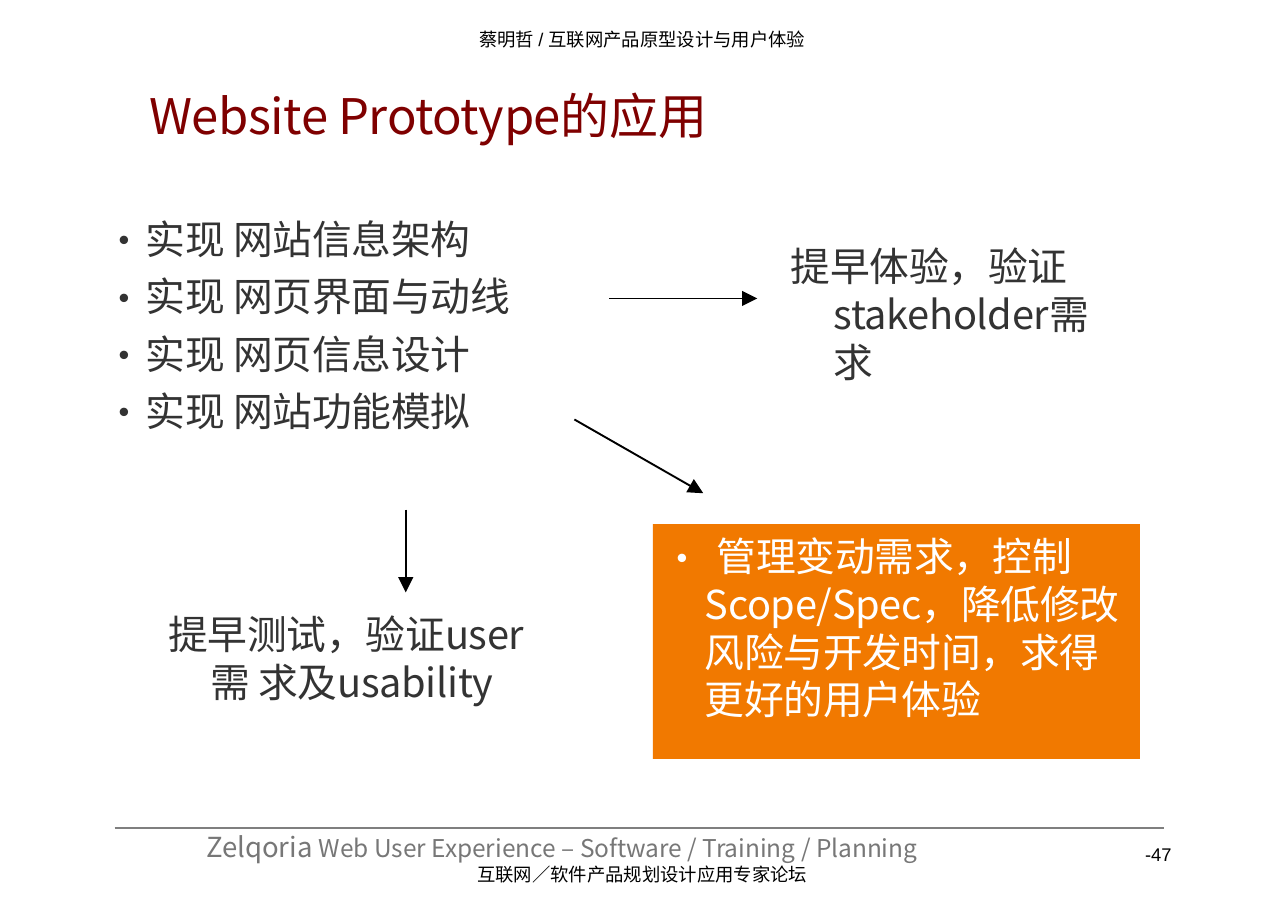
from lxml import etree
from pptx import Presentation
from pptx.dml.color import RGBColor
from pptx.enum.shapes import MSO_CONNECTOR, MSO_SHAPE
from pptx.enum.text import MSO_ANCHOR, PP_ALIGN
from pptx.oxml.ns import qn
from pptx.util import Inches, Pt

STRAIGHT = MSO_CONNECTOR.STRAIGHT
RECT = MSO_SHAPE.RECTANGLE
TOP = MSO_ANCHOR.TOP
LEFT = PP_ALIGN.LEFT

WIDE, HIGH = Inches(11.69), Inches(8.26)
NOTO, ARIAL = "Noto Sans CJK TC", "Arial"
BLACK = RGBColor(0, 0, 0)
WHITE = RGBColor(255, 255, 255)
MAROON = RGBColor(0x7F, 0, 0)
DARK = RGBColor(0x33, 0x33, 0x33)
GRAY = RGBColor(0x77, 0x77, 0x77)
RULE = RGBColor(0x7F, 0x7F, 0x7F)
ORANGE = RGBColor(0xF1, 0x79, 0)

HEAD = dict(size=32, color=MAROON, track=-30)
BODY = dict(size=26, color=DARK, track=-25)
LIGHT = dict(BODY, color=WHITE)
SMALL = dict(size=12, color=BLACK)
PLAIN = dict(SMALL, font=ARIAL)
BRAND = dict(size=18, color=GRAY)
TAG = dict(size=16, color=GRAY)


def col(share):
    return round(WIDE * share / 100)


def row(share):
    return round(HIGH * share / 100)


def area(x, y, w, h):
    return col(x), row(y), col(w), row(h)


def apply(item, values):
    for name, value in values.items():
        setattr(item, name, value)


def add_run(para, text, size, color, font=NOTO, track=0):
    run = para.add_run()
    run.text = text
    apply(run.font, dict(size=Pt(size), name=font, bold=False))
    run.font.color.rgb = color
    props = run.font._element
    props.set("spc", str(track))
    etree.SubElement(props, qn("a:ea")).set("typeface", NOTO)


def add_para(para, runs, left=0, hang=0, mark=False, gap=0):
    size = max(style["size"] for _, style in runs)
    apply(para, dict(alignment=LEFT, line_spacing=Pt(size * 1.2),
                     space_before=Pt(gap), space_after=Pt(0)))
    props = para._p.get_or_add_pPr()
    props.set("marL", str(Inches(left)))
    props.set("indent", str(-Inches(hang)))
    if mark:
        etree.SubElement(props, qn("a:buFont")).set("typeface", NOTO)
        etree.SubElement(props, qn("a:buChar")).set("char", "•")
    else:
        etree.SubElement(props, qn("a:buNone"))
    for text, style in runs:
        add_run(para, text, **style)


def write(shape, paras, pad=(0, 0, 0)):
    frame = shape.text_frame
    left, top, right = (Inches(side) for side in pad)
    apply(frame, dict(word_wrap=True, vertical_anchor=TOP, margin_left=left,
                      margin_top=top, margin_right=right, margin_bottom=0))
    for spot, (runs, form) in enumerate(paras):
        para = frame.add_paragraph() if spot else frame.paragraphs[0]
        add_para(para, runs, **form)


def add_text(slide, place, *paras):
    write(slide.shapes.add_textbox(*area(*place)), paras)


def add_title(slide, place, runs):
    title = slide.shapes.title
    apply(title, dict(zip(("left", "top", "width", "height"), area(*place))))
    write(title, [(runs, {})])


def add_panel(slide, place, paras, pad):
    panel = slide.shapes.add_shape(RECT, *area(*place))
    panel.shadow.inherit = False
    panel.fill.solid()
    panel.fill.fore_color.rgb = ORANGE
    panel.line.fill.background()
    write(panel, paras, pad)


def add_line(slide, start, end, color=BLACK, width=1.25, head=True):
    link = slide.shapes.add_connector(
        STRAIGHT, col(start[0]), row(start[1]), col(end[0]), row(end[1]))
    link.line.color.rgb = color
    link.line.width = Pt(width)
    if head:
        tip = etree.SubElement(link.line._get_or_add_ln(), qn("a:tailEnd"))
        for name, value in dict(type="triangle", w="lg", len="lg").items():
            tip.set(name, value)
    etree.SubElement(link._element.spPr, qn("a:effectLst"))


def main():
    deck = Presentation()
    apply(deck, dict(slide_width=WIDE, slide_height=HIGH))
    slide = deck.slides.add_slide(deck.slide_layouts[5])

    add_line(slide, (8.9, 91), (90.4, 91), RULE, 1.06, False)
    add_title(slide, (11.6, 9.4, 77.8, 8.2), [("Website Prototype的应用", HEAD)])

    goals = ["网站信息架构", "网页界面与动线", "网页信息设计", "网站功能模拟"]
    add_text(slide, (8, 23.6, 35, 24.2), *[
        ([(f"实现 {goal}", BODY)],
         dict(left=0.39, hang=0.38, mark=True, gap=6.2 if spot else 0))
        for spot, goal in enumerate(goals)])

    add_text(slide, (61.4, 26.6, 25.2, 15.8),
             ([("提早体验，验证", BODY)], {}),
             ([("stakeholder需求", BODY)], dict(left=0.39)))
    add_text(slide, (13, 67, 30, 10.7),
             ([("提早测试，验证user需 求及usability", BODY)],
              dict(left=0.39, hang=0.38)))
    add_panel(slide, (50.7, 57.6, 37.8, 25.8), [
        ([("\t管理变动需求，控制 Scope/Spec，降低修改 风险与开发时间，"
           "求得 更好的用户体验", LIGHT)],
         dict(left=0.39, hang=0.38, mark=True))], (0.08, 0.07, 0.12))

    add_line(slide, (31.5, 56), (31.5, 65.1))
    add_line(slide, (47.3, 32.8), (58.8, 32.8))
    add_line(slide, (44.6, 46.1), (54.6, 54.2))

    add_text(slide, (37.2, 3.1, 25.7, 5.4),
             ([("蔡明哲 ", SMALL), ("/ ", PLAIN),
               ("互联网产品原型设计与用户体验", SMALL)], {}))
    add_text(slide, (16, 91.2, 59, 6.2),
             ([("Zelqoria ", BRAND),
               ("Web User Experience – Software / Training / Planning", TAG)], {}),
             ([("互联网／软件产品规划设计应用专家论坛", SMALL)], dict(left=2.46)))
    add_text(slide, (88.9, 92.6, 3.5, 2.5), ([("-47", PLAIN)], {}))
    deck.save("out.pptx")


if __name__ == "__main__":
    main()
